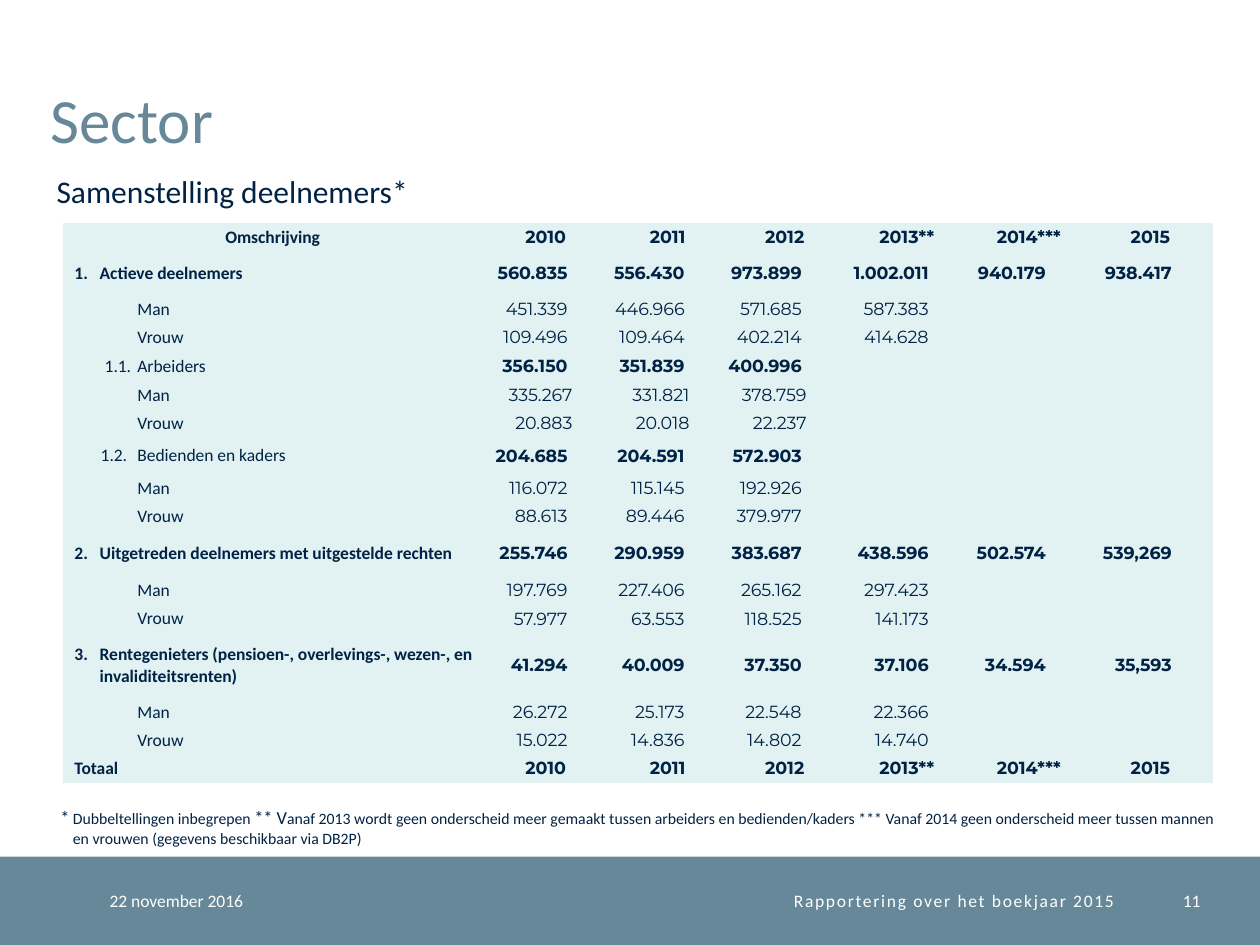
from dataclasses import dataclass

import pptx
import pptx.dml.color
import pptx.enum.shapes
import pptx.enum.text
import pptx.oxml.ns
import pptx.util
from lxml import etree

Cm = pptx.util.Cm
Pt = pptx.util.Pt
qn = pptx.oxml.ns.qn
Align = pptx.enum.text.PP_ALIGN
Anchor = pptx.enum.text.MSO_ANCHOR

NAVY = "002244"
SLATE = "668899"
WHITE = "FFFFFF"
PALE = "E2F2F3"
TEXT_FONT = "Calibri"
NUMBER_FONT = "Montserrat"
NO_STYLE_NO_GRID = "{2D5ABB26-0587-4C30-8999-92F81FD0307C}"
FOOTER_TOP, FOOTER_HEIGHT = 17.27, 1.78
TABLE_SIZE = 10
LINE_HEIGHT = 0.57
NUMBER_INSET = 0.84
COLUMN_WIDTHS = (8.45, 2.56, 2.36, 2.36, 2.56, 2.36, 2.54)


@dataclass(frozen=True)
class Level:
    margin: float = 0
    indent: float = 0
    bold_label: bool = False
    bold_values: bool = False
    label_align: Align = Align.LEFT
    value_align: Align = Align.RIGHT


@dataclass(frozen=True)
class Row:
    level: Level
    label: str
    values: tuple[str, ...]
    height: float = LINE_HEIGHT
    inset: float = NUMBER_INSET


@dataclass(frozen=True)
class Label:
    text: str
    left: float
    top: float
    width: float
    height: float
    size: float
    color: str
    align: Align = Align.LEFT
    anchor: Anchor = Anchor.MIDDLE
    inset: tuple[float, float] = (0, 0)
    line_spacing: float | None = None
    letter_spacing: int = 0


HEADER = Level(0, 0, True, True, Align.CENTER, Align.CENTER)
TOTAL = Level(0.74, -0.51, True, True, value_align=Align.CENTER)
GROUP = Level(0.74, -0.51, True, True)
WORKERS = Level(1.5, -0.66, bold_values=True)
STAFF = Level(1.5, -0.74, bold_values=True)
DETAIL = Level(1.5)

YEARS = ("2010", "2011", "2012", "2013**", "2014***", "2015")
ROWS = (
    Row(HEADER, "Omschrijving", YEARS, inset=0),
    Row(GROUP, "1.\tActieve deelnemers",
        ("560.835", "556.430", "973.899", "1.002.011", "940.179", "938.417"), 0.88),
    Row(DETAIL, "Man", ("451.339", "446.966", "571.685", "587.383")),
    Row(DETAIL, "Vrouw", ("109.496", "109.464", "402.214", "414.628")),
    Row(WORKERS, "1.1.\tArbeiders", ("356.150", "351.839", "400.996"), 0.6),
    Row(DETAIL, "Man", ("335.267", "331.821", "378.759"), inset=0.74),
    Row(DETAIL, "Vrouw", ("20.883", "20.018", "22.237"), inset=0.74),
    Row(STAFF, "1.2.\tBedienden en kaders", ("204.685", "204.591", "572.903"), 0.73),
    Row(DETAIL, "Man", ("116.072", "115.145", "192.926")),
    Row(DETAIL, "Vrouw", ("88.613", "89.446", "379.977")),
    Row(GROUP, "2.\tUitgetreden deelnemers met uitgestelde rechten",
        ("255.746", "290.959", "383.687", "438.596", "502.574", "539,269"), 0.93),
    Row(DETAIL, "Man", ("197.769", "227.406", "265.162", "297.423")),
    Row(DETAIL, "Vrouw", ("57.977", "63.553", "118.525", "141.173")),
    Row(GROUP, "3.\tRentegenieters (pensioen-, overlevings-, wezen-, en invaliditeitsrenten)",
        ("41.294", "40.009", "37.350", "37.106", "34.594", "35,593"), 1.31),
    Row(DETAIL, "Man", ("26.272", "25.173", "22.548", "22.366")),
    Row(DETAIL, "Vrouw", ("15.022", "14.836", "14.802", "14.740")),
    Row(TOTAL, "Totaal", YEARS, inset=0),
)

LABELS = (
    Label("22 november 2016", 2.21, FOOTER_TOP, 4.5, FOOTER_HEIGHT, 10, WHITE),
    Label("Sector", 1.02, 0.41, 21.92, 2.74, 36, SLATE, anchor=Anchor.BOTTOM, line_spacing=32),
    Label("Rapportering over het boekjaar 2015", 6.71, FOOTER_TOP, 15.75, FOOTER_HEIGHT,
          10, WHITE, Align.RIGHT, letter_spacing=100),
    Label("11", 22.96, FOOTER_TOP, 1.24, FOOTER_HEIGHT, 10, WHITE, Align.RIGHT),
    Label("Samenstelling deelnemers*", 0.89, 3.33, 9.4, 1.02, 18, NAVY,
          anchor=Anchor.TOP, inset=(0.25, 0.13)),
)

FOOTNOTE = (
    ("*", 10.5),
    ("\tDubbeltellingen inbegrepen ", 9),
    ("** V", 10.5),
    ("anaf 2013 wordt geen onderscheid meer gemaakt tussen arbeiders en bedienden/kaders "
     "*** Vanaf 2014 geen onderscheid meer tussen mannen en vrouwen "
     "(gegevens beschikbaar via DB2P)", 9),
)


def rgb(value: str) -> pptx.dml.color.RGBColor:
    return pptx.dml.color.RGBColor.from_string(value)


def set_font(font, name: str, color: str, size: float | None = None, bold: bool = False) -> None:
    font.name = name
    font.color.rgb = rgb(color)
    font.bold = bold
    if size:
        font.size = Pt(size)


def set_indent(paragraph, margin: float, indent: float) -> None:
    properties = paragraph._p.get_or_add_pPr()
    properties.set("marL", str(Cm(margin)))
    properties.set("indent", str(Cm(indent)))


def draw_footer_bar(slide) -> None:
    shape = slide.shapes.add_shape(pptx.enum.shapes.MSO_SHAPE.RECTANGLE,
                                   0, Cm(FOOTER_TOP), Cm(25.4), Cm(FOOTER_HEIGHT))
    shape.shadow.inherit = False
    shape.fill.solid()
    shape.fill.fore_color.rgb = rgb(SLATE)
    shape.line.fill.background()


def draw_label(slide, label: Label) -> None:
    box = slide.shapes.add_textbox(Cm(label.left), Cm(label.top), Cm(label.width), Cm(label.height))
    frame = box.text_frame
    frame.word_wrap = True
    frame.vertical_anchor = label.anchor
    frame.margin_left = frame.margin_right = Cm(label.inset[0])
    frame.margin_top = frame.margin_bottom = Cm(label.inset[1])
    paragraph = frame.paragraphs[0]
    paragraph.alignment = label.align
    if label.line_spacing:
        paragraph.line_spacing = Pt(label.line_spacing)
    run = paragraph.add_run()
    run.text = label.text
    if label.letter_spacing:
        run._r.get_or_add_rPr().set("spc", str(label.letter_spacing))
    set_font(paragraph.font, TEXT_FONT, label.color, label.size)


def fill_cell(cell, text: str, font: str, bold: bool, align: Align, inset: float = 0):
    cell.fill.solid()
    cell.fill.fore_color.rgb = rgb(PALE)
    cell.vertical_anchor = Anchor.MIDDLE
    cell.margin_left = cell.margin_top = cell.margin_bottom = 0
    cell.margin_right = Cm(inset)
    paragraph = cell.text_frame.paragraphs[0]
    if text:
        paragraph.add_run().text = text
        paragraph.alignment = align
        set_font(paragraph.font, font, NAVY, TABLE_SIZE, bold)
    else:
        etree.SubElement(paragraph._p, qn("a:endParaRPr"), sz=str(TABLE_SIZE * 100))
    return paragraph


def draw_table(slide) -> None:
    table = slide.shapes.add_table(
        len(ROWS), len(COLUMN_WIDTHS), Cm(1.27), Cm(4.5),
        Cm(sum(COLUMN_WIDTHS)), Cm(sum(row.height for row in ROWS))).table
    table.first_row = table.horz_banding = False
    table._tbl.tblPr.find(qn("a:tableStyleId")).text = NO_STYLE_NO_GRID
    for column, width in zip(table.columns, COLUMN_WIDTHS):
        column.width = Cm(width)
    for index, row in enumerate(ROWS):
        level = row.level
        table.rows[index].height = Cm(row.height)
        paragraph = fill_cell(table.cell(index, 0), row.label, TEXT_FONT,
                              level.bold_label, level.label_align)
        set_indent(paragraph, level.margin, level.indent if "\t" in row.label or level is TOTAL else 0)
        for column in range(1, len(COLUMN_WIDTHS)):
            value = row.values[column - 1] if column <= len(row.values) else ""
            fill_cell(table.cell(index, column), value, NUMBER_FONT,
                      level.bold_values, level.value_align, row.inset)


def draw_footnote(slide) -> None:
    frame = slide.shapes.add_textbox(Cm(0.97), Cm(16.13), Cm(23.8), Cm(1.09)).text_frame
    frame.word_wrap = True
    paragraph = frame.paragraphs[0]
    set_indent(paragraph, 0.25, -0.25)
    for text, size in FOOTNOTE:
        run = paragraph.add_run()
        run.text = text
        run.font.size = Pt(size)
    set_font(paragraph.font, TEXT_FONT, NAVY)


def main() -> None:
    presentation = pptx.Presentation()
    presentation.slide_width, presentation.slide_height = Cm(25.4), Cm(19.05)
    slide = presentation.slides.add_slide(presentation.slide_layouts[6])
    draw_footer_bar(slide)
    for label in LABELS:
        draw_label(slide, label)
    draw_table(slide)
    draw_footnote(slide)
    presentation.save("out.pptx")


if __name__ == "__main__":
    main()
